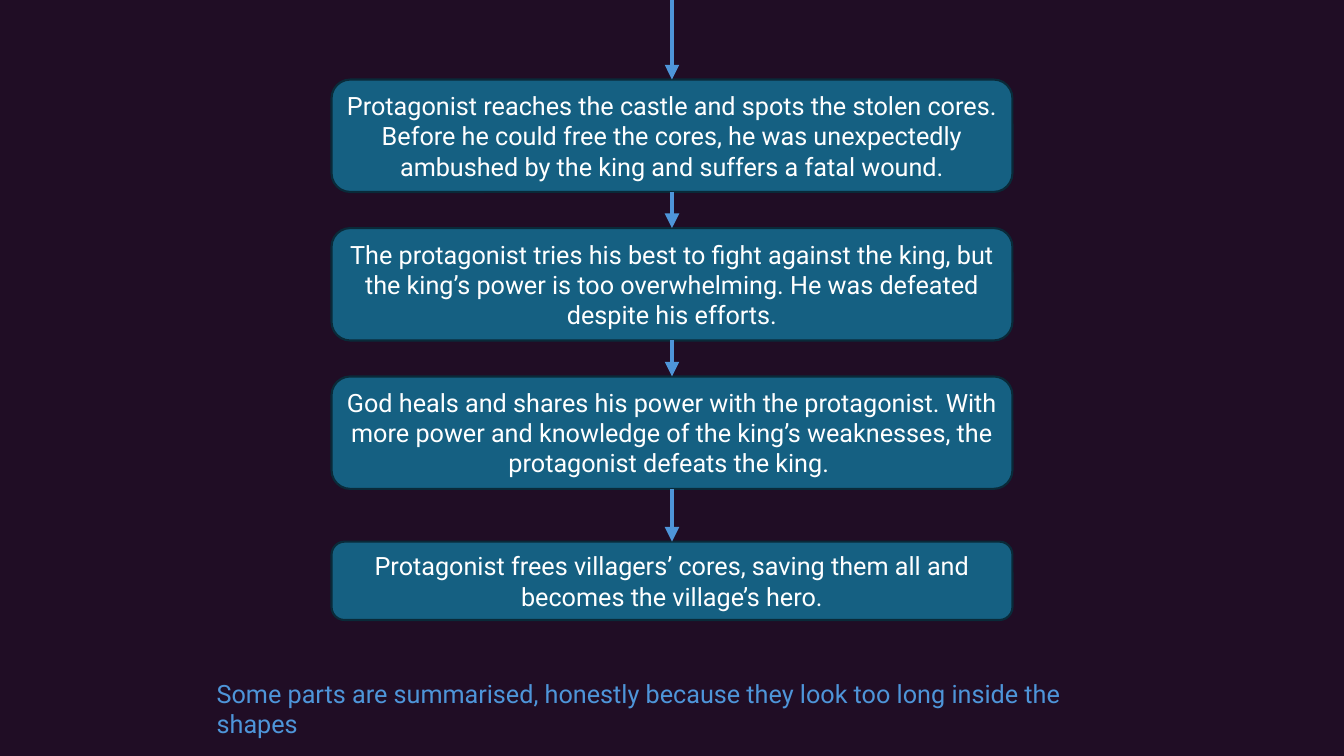
from lxml import etree
from pptx import Presentation
from pptx.dml.color import RGBColor
from pptx.enum.shapes import MSO_CONNECTOR, MSO_SHAPE
from pptx.enum.text import MSO_ANCHOR, PP_ALIGN
from pptx.oxml.ns import qn
from pptx.util import Pt

ROUND = MSO_SHAPE.ROUNDED_RECTANGLE
STRAIGHT = MSO_CONNECTOR.STRAIGHT
MIDDLE = MSO_ANCHOR.MIDDLE
CENTER = PP_ALIGN.CENTER
LEFT = PP_ALIGN.LEFT

DARK = RGBColor(0x20, 0x0D, 0x25)
TEAL = RGBColor(0x15, 0x60, 0x82)
EDGE = RGBColor(0x09, 0x2A, 0x39)
BLUE = RGBColor(0x4E, 0x95, 0xD9)
WHITE = RGBColor(0xFF, 0xFF, 0xFF)

WIDE = 960
STEP_LEFT = 236.8
STEP_WIDE = WIDE - 2 * STEP_LEFT

STEPS = [
    (56.8, 80.3, "Protagonist reaches the castle and spots the stolen cores. "
     "Before he could free the cores, he was unexpectedly ambushed by the king "
     "and suffers a fatal wound."),
    (162.9, 80.3, "The protagonist tries his best to fight against the king, but "
     "the king’s power is too overwhelming. He was defeated despite his efforts."),
    (268.9, 80.3, "God heals and shares his power with the protagonist. With more "
     "power and knowledge of the king’s weaknesses, the protagonist defeats the king. "),
    (386.9, 56, "Protagonist frees villagers’ cores, saving them all and becomes "
     "the village’s hero."),
]


def write(shape, text, color, align):
    frame = shape.text_frame
    frame.word_wrap = True
    frame.text = text
    para = frame.paragraphs[0]
    para.alignment = align
    font = para.runs[0].font
    font.name = "Roboto"
    font.size = Pt(18)
    font.color.rgb = color


deck = Presentation()
deck.slide_width = Pt(WIDE)
deck.slide_height = Pt(540)
slide = deck.slides.add_slide(deck.slide_layouts[6])
slide.background.fill.solid()
slide.background.fill.fore_color.rgb = DARK

start = 0
for top, height, text in STEPS:
    step = slide.shapes.add_shape(
        ROUND, Pt(STEP_LEFT), Pt(top), Pt(STEP_WIDE), Pt(height))
    step.shadow.inherit = False
    step.fill.solid()
    step.fill.fore_color.rgb = TEAL
    step.line.color.rgb = EDGE
    step.line.width = Pt(1.5)
    step.text_frame.vertical_anchor = MIDDLE
    write(step, text, WHITE, CENTER)

    arrow = slide.shapes.add_connector(
        STRAIGHT, Pt(WIDE / 2), Pt(start), Pt(WIDE / 2), Pt(top))
    arrow.line.color.rgb = BLUE
    arrow.line.width = Pt(3.5)
    etree.SubElement(arrow.line._get_or_add_ln(), qn("a:tailEnd"), type="triangle")
    etree.SubElement(arrow._element.spPr, qn("a:effectLst"))
    start = top + height

note = slide.shapes.add_textbox(Pt(147.7), Pt(481), Pt(664.6), Pt(29))
write(note, "Some parts are summarised, honestly because they look too long "
      "inside the shapes", BLUE, LEFT)

deck.save("out.pptx")
